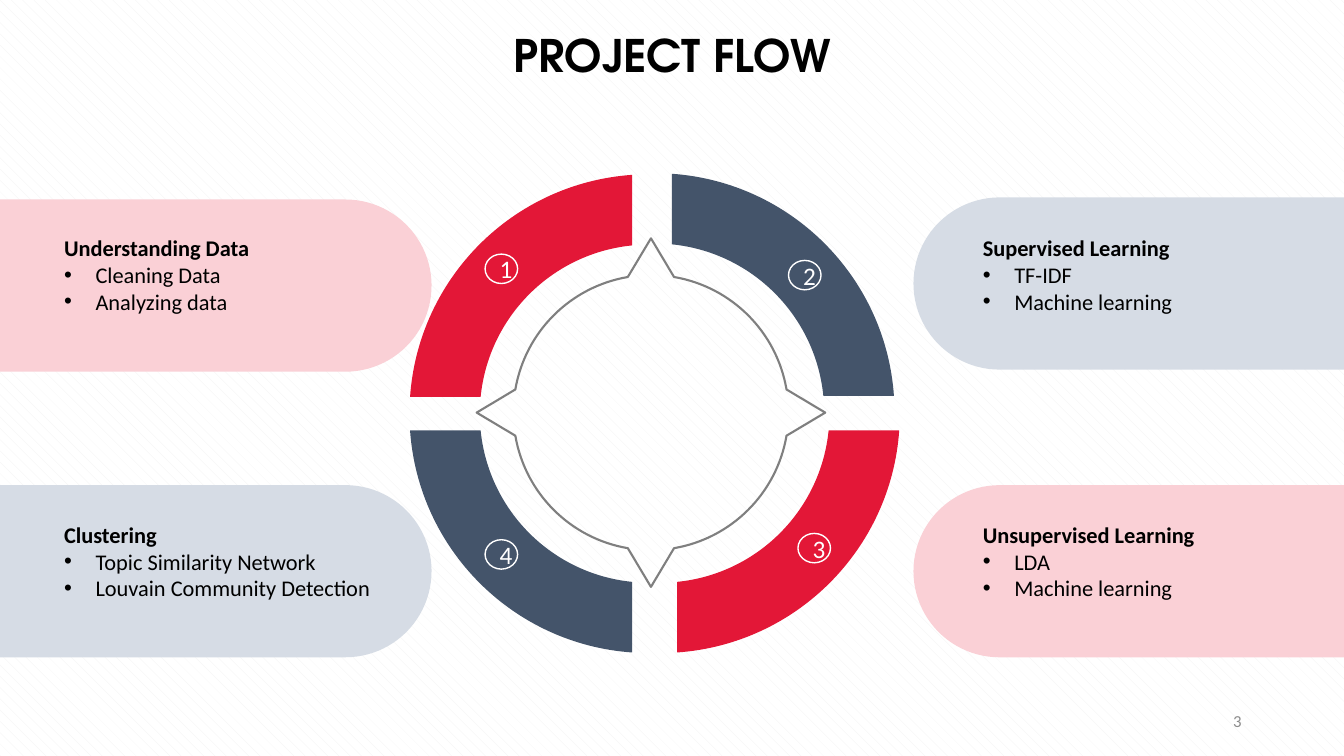
"""Build the project flow slide: a four-part ring with a labelled panel per step."""
import math

from lxml import etree
from pptx import Presentation
from pptx.dml.color import RGBColor
from pptx.enum.dml import MSO_PATTERN
from pptx.enum.shapes import MSO_SHAPE
from pptx.enum.text import MSO_ANCHOR, MSO_AUTO_SIZE, PP_ALIGN
from pptx.oxml.ns import qn
from pptx.util import Emu, Pt

OVAL = MSO_SHAPE.OVAL
PANEL = MSO_SHAPE.ROUND_2_SAME_RECTANGLE
SHINGLE = MSO_PATTERN.SHINGLE
TOP, MIDDLE = MSO_ANCHOR.TOP, MSO_ANCHOR.MIDDLE
LEFT, CENTER, RIGHT = PP_ALIGN.LEFT, PP_ALIGN.CENTER, PP_ALIGN.RIGHT
NO_FIT = MSO_AUTO_SIZE.NONE

COLORS = {
    "red": "E31737", "navy": "44546A", "pink": "FAD0D6", "mist": "D6DCE5",
    "white": "FFFFFF", "black": "000000", "hatch": "F2F2F2",
    "outline": "7F7F7F", "number": "8C8C8C",
}
BODY_FONT, TITLE_FONT = "Calibri", "TeX Gyre Adventor"
COMPARISON_LAYOUT = 4
SLIDE_WIDTH = 1280
PANEL_WIDTH, PANEL_HEIGHT = 411, 164
OUTER_RADIUS, INNER_RADIUS, HALF_GAP = 228, 161, 16
COMPASS_CENTER, COMPASS_RADIUS, TIP_RADIUS, TIP_HALF_WIDTH = (620, 393), 131, 166, 22
INDENT = 30

# number, panel left and top, text position, ring centre, start angle, badge position, colours, wording
STEPS = [
    ("1", (0, 190), (61, 223), (618, 394), 180, (462, 242), "red", "pink",
     "Understanding Data", ["Cleaning Data", "Analyzing data"]),
    ("2", (870, 188), (936, 223), (624, 393), 270, (751, 248), "navy", "mist",
     "Supervised Learning", ["TF-IDF", "Machine learning"]),
    ("3", (870, 462), (936, 496), (629, 394), 0, (760, 508), "red", "pink",
     "Unsupervised Learning", ["LDA", "Machine learning"]),
    ("4", (0, 462), (61, 496), (618, 394), 90, (462, 514), "navy", "mist",
     "Clustering", ["Topic Similarity Network", "Louvain Community Detection"]),
]


def px(value):
    return Emu(round(value * 9525))


def color(name):
    return RGBColor.from_string(COLORS[name])


def place(shape, left, top, width, height):
    shape.left, shape.top, shape.width, shape.height = map(px, (left, top, width, height))


def paint(shape, fill=None, line=None, line_width=1):
    shape.shadow.inherit = False
    if fill:
        shape.fill.solid()
        shape.fill.fore_color.rgb = color(fill)
    else:
        shape.fill.background()
    if line:
        shape.line.color.rgb = color(line)
        shape.line.width = Pt(line_width)
    else:
        shape.line.fill.background()


def style(paragraph, size, ink, align=LEFT, bold=False, name=BODY_FONT):
    paragraph.alignment = align
    font = paragraph.font
    font.size, font.bold, font.name = Pt(size), bold, name
    font.color.rgb = color(ink)


def set_frame(frame, anchor):
    frame.word_wrap = True
    frame.auto_size = NO_FIT
    frame.vertical_anchor = anchor
    frame.margin_left = frame.margin_right = frame.margin_top = frame.margin_bottom = 0


def set_bullet(paragraph, bullet):
    properties = paragraph._p.get_or_add_pPr()
    indent = px(INDENT) if bullet else 0
    properties.set("marL", str(indent))
    properties.set("indent", str(-indent))
    if bullet:
        etree.SubElement(properties, qn("a:buFont"), typeface="Arial")
        etree.SubElement(properties, qn("a:buChar"), char="•")
    else:
        etree.SubElement(properties, qn("a:buNone"))


def polar(center, radius, degrees):
    angle = math.radians(degrees)
    return center[0] + radius * math.cos(angle), center[1] + radius * math.sin(angle)


def arc_controls(center, start, end):
    (x0, y0), (x1, y1) = [(x - center[0], y - center[1]) for x, y in (start, end)]
    span = math.remainder(math.atan2(y1, x1) - math.atan2(y0, x0), math.tau)
    reach = 4 / 3 * math.tan(span / 4)
    return [(start[0] - reach * y0, start[1] + reach * x0),
            (end[0] + reach * y1, end[1] - reach * x1)]


def add_outline(slide, points, center, curved):
    """Draw a closed outline whose sides ending at the curved indexes are arcs about center."""
    corners = [(px(x), px(y)) for x, y in points]
    builder = slide.shapes.build_freeform(*corners[0])
    builder.add_line_segments(corners[1:], close=True)
    shape = builder.convert_to_shape()
    sides = list(shape._element.iter(qn("a:lnTo")))
    for index in curved:
        side = sides[index - 1]
        side.tag = qn("a:cubicBezTo")
        for position, (x, y) in enumerate(arc_controls(center, points[index - 1], points[index])):
            control = etree.Element(qn("a:pt"), x=str(px(x) - shape.left), y=str(px(y) - shape.top))
            side.insert(position, control)
    return shape


def add_ring_part(slide, center, start, fill):
    points = []
    for radius, direction in ((OUTER_RADIUS, 1), (INNER_RADIUS, -1)):
        trim = math.degrees(math.asin(HALF_GAP / radius))
        ends = [polar(center, radius, start + turn) for turn in (trim, 90 - trim)]
        points += ends[::direction]
    paint(add_outline(slide, points, center, (1, 3)), fill)


def add_compass(slide):
    trim = math.degrees(math.asin(TIP_HALF_WIDTH / COMPASS_RADIUS))
    points = []
    for start in range(0, 360, 90):
        points.append(polar(COMPASS_CENTER, TIP_RADIUS, start))
        points += [polar(COMPASS_CENTER, COMPASS_RADIUS, start + turn) for turn in (trim, 90 - trim)]
    compass = add_outline(slide, points, COMPASS_CENTER, range(2, 12, 3))
    paint(compass, line="outline", line_width=1.5)


def add_panel(slide, left, top, fill):
    shape = slide.shapes.add_shape(PANEL, 0, 0, 0, 0)
    shift = (PANEL_WIDTH - PANEL_HEIGHT) / 2
    place(shape, left + shift, top - shift, PANEL_HEIGHT, PANEL_WIDTH)
    shape.rotation = 90 if left == 0 else 270
    shape.adjustments[0] = 0.5
    shape.adjustments[1] = 0
    paint(shape, fill)


def fill_list(slide, placeholder, left, top, heading, items):
    place(placeholder, left, top, 315, 78)
    slide.shapes._spTree.append(placeholder._element)
    frame = placeholder.text_frame
    set_frame(frame, TOP)
    frame.text = "\n".join([heading, *items])
    for index, paragraph in enumerate(frame.paragraphs):
        paragraph.space_before = Pt(0)
        set_bullet(paragraph, index > 0)
        style(paragraph, 16, "black", bold=index == 0)


def add_badge(slide, number, left, top, fill):
    badge = slide.shapes.add_shape(OVAL, px(left), px(top), px(31), px(28))
    paint(badge, fill, "white")
    badge.text_frame.text = number
    badge.text_frame.vertical_anchor = MIDDLE
    style(badge.text_frame.paragraphs[0], 18, "white", CENTER)


def fill_title(title, text):
    place(title, 154, 26, SLIDE_WIDTH - 2 * 154, 52)
    set_frame(title.text_frame, MIDDLE)
    title.text_frame.text = text
    style(title.text_frame.paragraphs[0], 32, "black", CENTER, True, TITLE_FONT)


def add_page_number(slide, text):
    box = slide.shapes.add_textbox(px(904), px(667), px(288), px(38))
    box.text_frame.word_wrap = True
    box.text_frame.vertical_anchor = MIDDLE
    box.text_frame.text = text
    style(box.text_frame.paragraphs[0], 12, "number", RIGHT)


def main():
    presentation = Presentation()
    presentation.slide_width, presentation.slide_height = px(SLIDE_WIDTH), px(720)
    slide = presentation.slides.add_slide(presentation.slide_layouts[COMPARISON_LAYOUT])
    background = slide.background.fill
    background.patterned()
    background.pattern = SHINGLE
    background.fore_color.rgb = color("hatch")
    background.back_color.rgb = color("white")

    fill_title(slide.shapes.title, "PROJECT FLOW")
    bodies = [holder for holder in slide.placeholders if holder.placeholder_format.idx > 0]
    for _, _, _, center, start, _, strong, _, _, _ in STEPS:
        add_ring_part(slide, center, start, strong)
    add_compass(slide)
    for body, (number, panel, text, _, _, badge, strong, pale, heading, items) in zip(bodies, STEPS):
        add_panel(slide, *panel, pale)
        fill_list(slide, body, *text, heading, items)
        add_badge(slide, number, *badge, strong)
    add_page_number(slide, "3")
    presentation.save("out.pptx")


if __name__ == "__main__":
    main()
